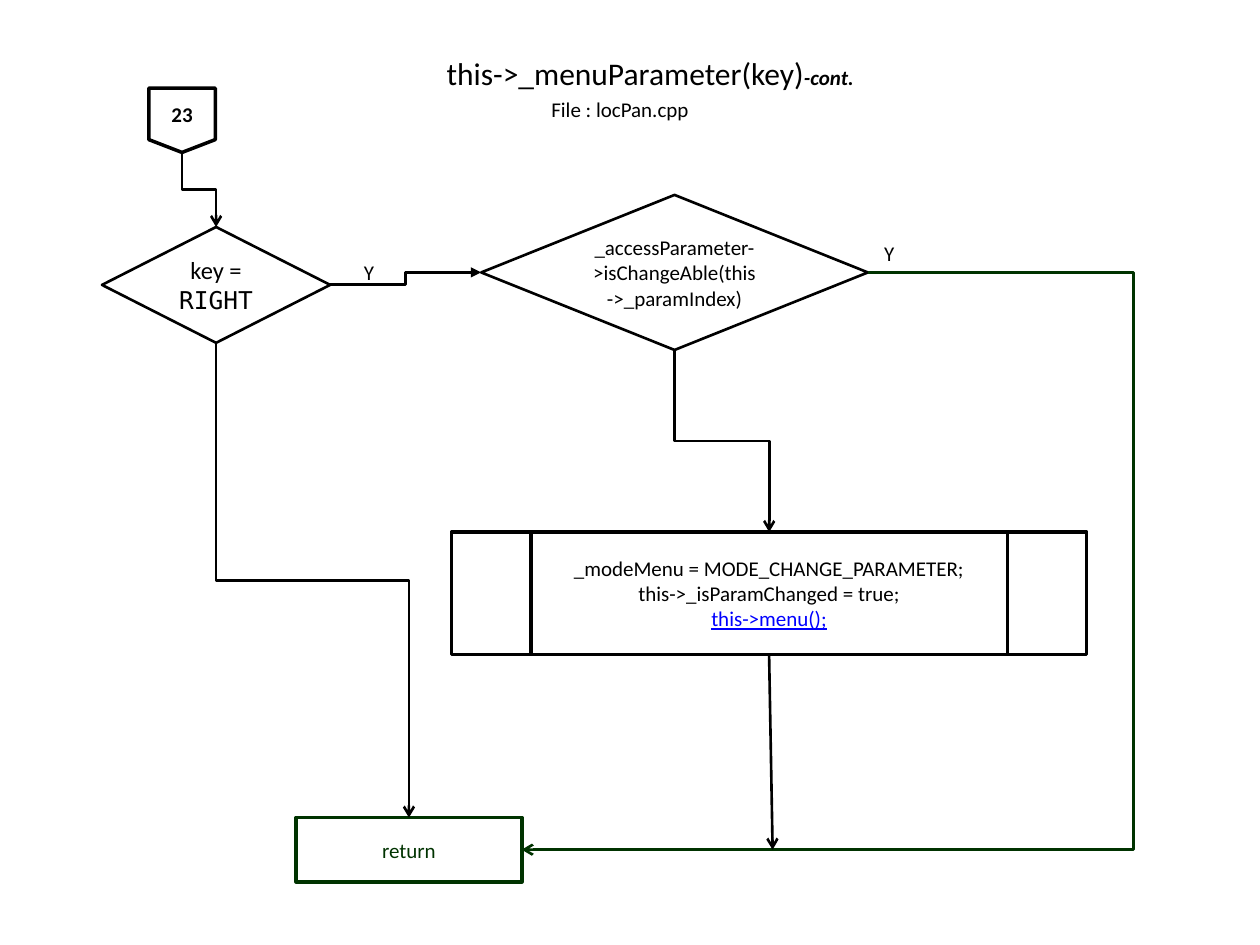
from pptx import Presentation
from pptx.dml.color import RGBColor
from pptx.enum.shapes import MSO_CONNECTOR, MSO_SHAPE
from pptx.enum.text import MSO_ANCHOR, MSO_AUTO_SIZE, PP_ALIGN
from pptx.oxml.ns import qn
from pptx.util import Pt
from lxml.etree import SubElement

INK = {"black": "000000", "green": "003300", "blue": "0000FF"}
FONT, MONO = "Calibri", "DejaVu Sans Mono"


def tint(name):
    return RGBColor.from_string(INK[name])


def style(font, size=12, color="black", bold=None, face=FONT):
    font.name, font.size, font.bold = face, Pt(size), bold
    font.color.rgb = tint(color)


def label(slide, box, text, align=PP_ALIGN.LEFT):
    frame = slide.shapes.add_textbox(*map(Pt, box)).text_frame
    frame.word_wrap = False
    frame.auto_size = MSO_AUTO_SIZE.SHAPE_TO_FIT_TEXT
    frame.text = text
    para = frame.paragraphs[0]
    para.alignment = align
    style(para.font)


def node(slide, kind, box, lines, width, color="black", size=12, bold=None):
    shape = slide.shapes.add_shape(kind, *map(Pt, box))
    shape.shadow.inherit = False
    shape.fill.background()
    shape.line.color.rgb = tint(color)
    shape.line.width = Pt(width)
    frame = shape.text_frame
    frame.word_wrap = True
    frame.vertical_anchor = MSO_ANCHOR.MIDDLE
    frame.text = "\n".join(lines)
    for para in frame.paragraphs:
        para.alignment = PP_ALIGN.CENTER
        style(para.font, size, color, bold)
        for run in para.runs:
            style(run.font, size, color, bold)
    return shape


def side(shape, name):
    """Midpoint of one side of a shape, in points."""
    across, down = {"top": (.5, 0), "right": (1, .5),
                    "bottom": (.5, 1), "left": (0, .5)}[name]
    return ((shape.left + shape.width * across) / Pt(1),
            (shape.top + shape.height * down) / Pt(1))


def arrow(slide, start, end, kind=MSO_CONNECTOR.ELBOW, color="black",
          head="arrow", drop=False, bend=None):
    (x1, y1), (x2, y2) = start, end
    if drop:  # leaves downwards: lay it out flat, then turn it
        mx, my, w, h = (x1 + x2) / 2, (y1 + y2) / 2, y2 - y1, x2 - x1
        x1, x2, y1, y2 = mx - w / 2, mx + w / 2, my - h / 2, my + h / 2
    line = slide.shapes.add_connector(kind, *map(Pt, (x1, y1, x2, y2)))
    line.line.color.rgb = tint(color)
    line.line.width = Pt(1.5)
    props = line._element.spPr
    if drop:
        turn = props.find(qn("a:xfrm"))
        turn.set("rot", "16200000")
        turn.set("flipH", "1")
    if bend is not None:
        guides = props.find(qn("a:prstGeom")).find(qn("a:avLst"))
        SubElement(guides, qn("a:gd"), name="adj1", fmla=f"val {round(bend * 100000)}")
    SubElement(props.find(qn("a:ln")), qn("a:tailEnd"), type=head)
    SubElement(props, qn("a:effectLst"))


def header(slide, box):
    x, y, w, h = box
    title = slide.shapes.title
    title.left, title.top, title.width, title.height = map(Pt, (x, y, w, h))
    frame = title.text_frame
    frame.vertical_anchor = MSO_ANCHOR.MIDDLE
    para = frame.paragraphs[0]
    para.alignment = PP_ALIGN.CENTER
    name, note = para.add_run(), para.add_run()
    name.text, note.text = "this->_menuParameter(key)", "-cont."
    style(name.font, 18)
    style(note.font, bold=True)
    note.font.italic = True
    label(slide, (x + 242, y + 29.5, 93.6, 21.6), "File : locPan.cpp", PP_ALIGN.CENTER)


def flow(slide, box):
    x, y, w, h = box

    def at(left, top, wide, high):
        return x + left, y + top, wide, high

    # Steps
    entry = node(slide, MSO_SHAPE.FLOWCHART_OFFPAGE_CONNECTOR,
                 at(27, 0.4, 38, 36.7), ["23"], 2, bold=True)
    key = node(slide, MSO_SHAPE.FLOWCHART_DECISION,
               at(0.3, 79.7, 130.4, 66.2), ["key = "], 1.5, size=14)
    value = key.text_frame.paragraphs[0].add_run()
    value.text = "RIGHT"
    style(value.font, 14, face=MONO)
    able = node(slide, MSO_SHAPE.FLOWCHART_DECISION, at(217, 61.4, 221, 88.6),
                ["_accessParameter->isChangeAble(this->_paramIndex)"], 1.5)
    mode = node(slide, MSO_SHAPE.FLOWCHART_PREDEFINED_PROCESS, at(200, 254, 363, 70),
                ["_modeMenu = MODE_CHANGE_PARAMETER;",
                 "this->_isParamChanged = true;", "this->menu();"], 2)
    call = mode.text_frame.paragraphs[2].runs[0].font
    call.color.rgb = tint("blue")
    call.underline = True
    back = node(slide, MSO_SHAPE.RECTANGLE, at(111.2, 417.2, 129, 36.7),
                ["return"], 2, "green")

    # Arrows
    for top, low in ((entry, key), (key, back), (able, mode)):
        arrow(slide, side(top, "bottom"), side(low, "top"), drop=True)
    arrow(slide, side(key, "right"), side(able, "left"), head="triangle")
    start, end = side(able, "right"), side(back, "right")
    lane = x + w
    arrow(slide, start, end, color="green",
          bend=(lane - start[0]) / (end[0] - start[0]))
    foot = side(mode, "bottom")
    arrow(slide, foot, (foot[0] + 2, end[1]), MSO_CONNECTOR.STRAIGHT)

    # Branch labels
    for left, top in ((142.9, 94.7), (440.2, 83.9)):
        label(slide, at(left, top, 20.2, 21.6), "Y")


def main():
    deck = Presentation()
    deck.slide_width, deck.slide_height = Pt(720), Pt(540)
    slide = deck.slides.add_slide(deck.slide_layouts[0])
    sub = slide.placeholders[1]._element
    sub.getparent().remove(sub)
    header(slide, (65.5, 22.3, 612, 38.2))
    flow(slide, (58, 50, 590, 454))
    deck.save("out.pptx")


if __name__ == "__main__":
    main()
